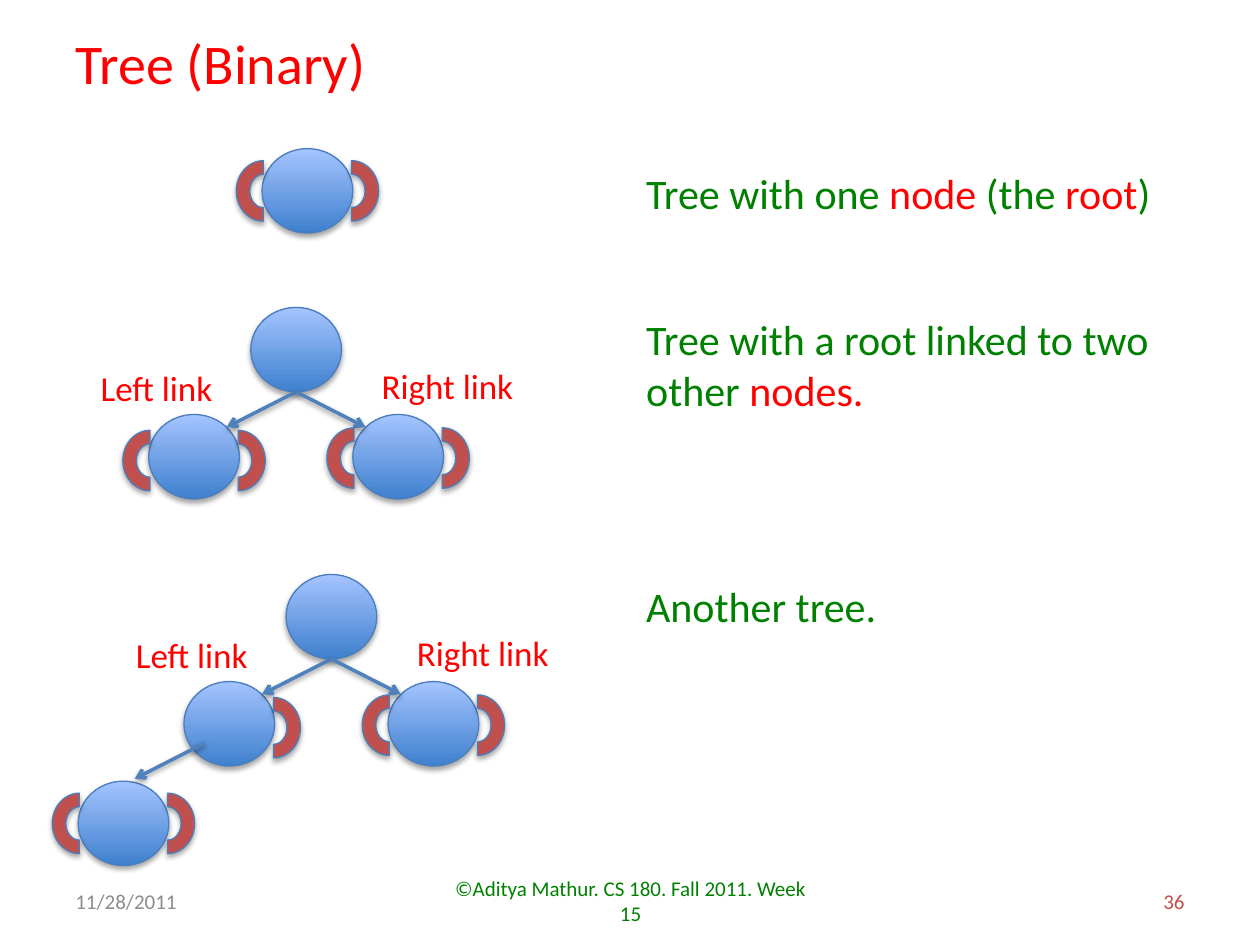
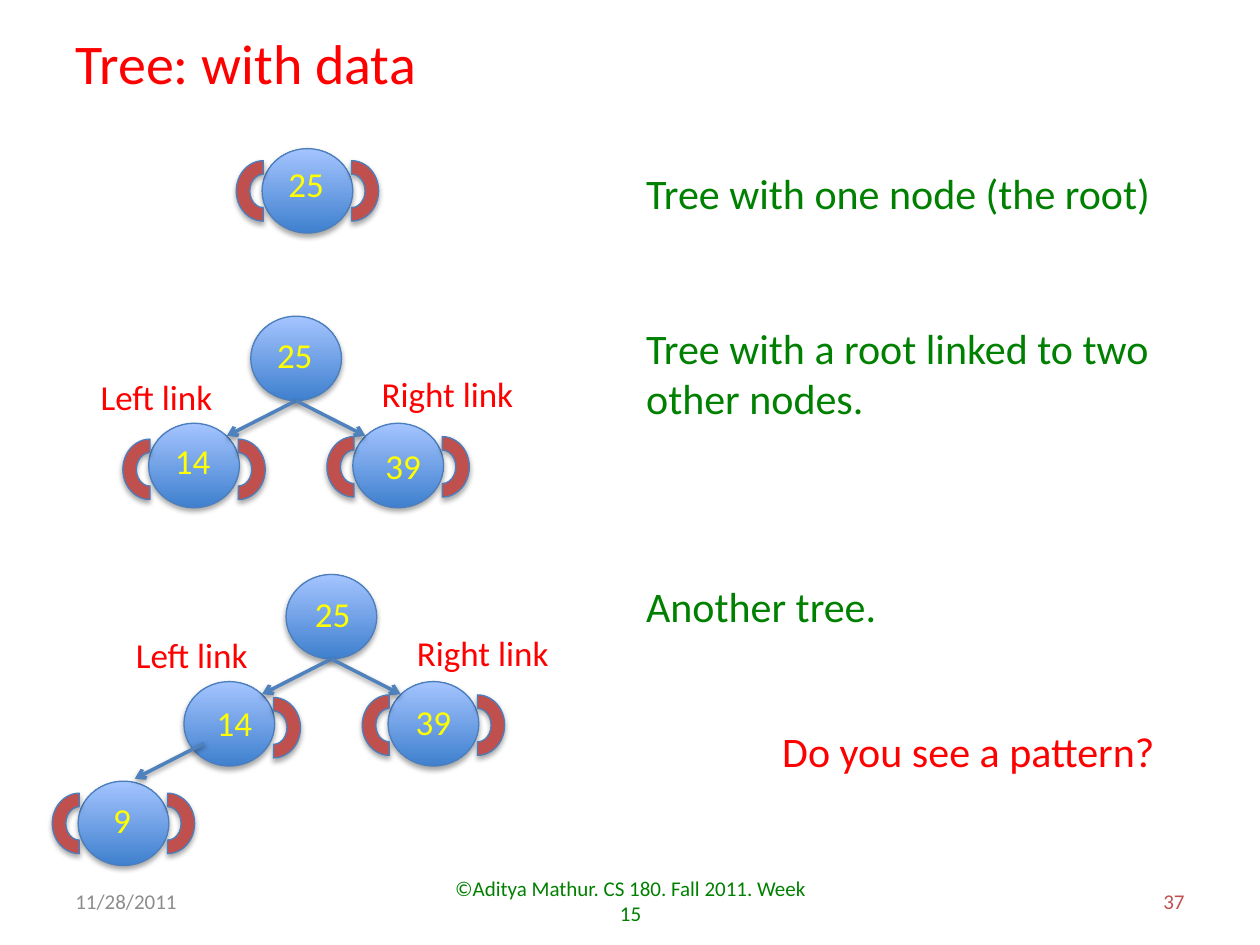
import dataclasses

import lxml.etree
import pptx
import pptx.dml.color
import pptx.enum.dml
import pptx.enum.shapes
import pptx.enum.text
import pptx.oxml.ns
import pptx.util

Inches = pptx.util.Inches
Pt = pptx.util.Pt
Align = pptx.enum.text.PP_ALIGN
Anchor = pptx.enum.text.MSO_ANCHOR
AutoSize = pptx.enum.text.MSO_AUTO_SIZE
ShapeKind = pptx.enum.shapes.MSO_SHAPE
qn = pptx.oxml.ns.qn
rgb = pptx.dml.color.RGBColor.from_string


@dataclasses.dataclass(frozen=True)
class Theme:
    """Colours, type sizes and repeated measures (inches) of the deck."""
    font: str = "Calibri"
    red: str = "FF0000"
    green: str = "008000"
    yellow: str = "FFFF00"
    gray: str = "8C8C8C"
    cap: str = "C0504D"
    outline: str = "4B7EBC"
    link: str = "4F81BD"
    node_bottom: str = "3F80CE"
    node_top: str = "A4C4FF"
    title_size: int = 32
    caption_size: int = 24
    label_size: int = 20
    footer_size: int = 12
    node_width: float = 0.72
    node_height: float = 0.67
    caption_left: float = 5.03
    caption_width: float = 4.27


THEME = Theme()


def apply_format(target, values):
    """Set each named attribute of the target."""
    for name, value in values.items():
        setattr(target, name, value)


def add_shadow(shape, opacity, distance):
    """Give a shape or connector a soft shadow straight below it."""
    properties = shape.element.spPr
    effects = properties.find(qn("a:effectLst"))
    if effects is None:
        effects = lxml.etree.SubElement(properties, qn("a:effectLst"))
    shadow = lxml.etree.SubElement(effects, qn("a:outerShdw"), {
        "blurRad": str(Pt(3.1)), "dist": str(Pt(distance)),
        "dir": "5400000", "rotWithShape": "0"})
    color = lxml.etree.SubElement(shadow, qn("a:srgbClr"), val="000000")
    lxml.etree.SubElement(color, qn("a:alpha"), val=str(opacity * 1000))


class TreeDeck:
    """Holds the theme, the current slide and the group being drawn."""

    def __init__(self, presentation, theme):
        self.presentation = presentation
        self.theme = theme
        self.slide = None
        self.canvas = None

    def start_slide(self, title, number):
        """Add a slide with its title and footer line."""
        layout = self.presentation.slide_layouts.get_by_name("Title Only")
        self.slide = self.presentation.slides.add_slide(layout)
        self.end_group()
        theme = self.theme
        heading = self.slide.shapes.title
        apply_format(heading, {"left": Inches(0.5), "top": Inches(0.18),
                               "width": Inches(3), "height": Inches(0.64)})
        self.fill_text(heading, [(title, theme.red)], theme.title_size,
                       wrap=False)
        footers = (
            (0.5, 2.33, "11/28/2011", theme.gray, Align.LEFT),
            (3.42, 3.17, "©Aditya Mathur. CS 180. Fall 2011. Week 15",
             theme.green, Align.CENTER),
            (7.17, 2.33, str(number), theme.cap, Align.RIGHT),
        )
        for left, width, text, color, alignment in footers:
            self.text(left, 6.95, width, 0.4, [(text, color)],
                      theme.footer_size, alignment=alignment,
                      anchor=Anchor.MIDDLE, auto_size=AutoSize.NONE)

    def start_group(self):
        """Draw what follows into a new group."""
        self.canvas = self.slide.shapes.add_group_shape().shapes

    def end_group(self):
        """Draw what follows straight on the slide."""
        self.canvas = self.slide.shapes

    def fill_text(self, shape, runs, size, wrap=True, alignment=Align.LEFT,
                  anchor=Anchor.TOP, auto_size=AutoSize.SHAPE_TO_FIT_TEXT):
        """Fill a shape with one paragraph of (text, colour) runs."""
        frame = shape.text_frame
        apply_format(frame, {"word_wrap": wrap, "vertical_anchor": anchor,
                             "auto_size": auto_size})
        paragraph = frame.paragraphs[0]
        paragraph.alignment = alignment
        for text, color in runs:
            run = paragraph.add_run()
            run.text = text
            apply_format(run.font, {"name": self.theme.font, "size": Pt(size)})
            run.font.color.rgb = rgb(color)

    def text(self, left, top, width, height, runs, size, **options):
        """Add a text box."""
        box = self.canvas.add_textbox(Inches(left), Inches(top),
                                      Inches(width), Inches(height))
        self.fill_text(box, runs, size, **options)

    def caption(self, top, runs, height=0.5, wrap=True):
        """Add the explanation to the right of a tree."""
        self.text(self.theme.caption_left, top, self.theme.caption_width,
                  height, runs, self.theme.caption_size, wrap=wrap)

    def label(self, left, top, width, text, color):
        """Add a short label on one line."""
        self.text(left, top, width, 0.44, [(text, color)],
                  self.theme.label_size, wrap=False)

    def outline(self, shape):
        """Give a filled shape its thin outline and shadow."""
        shape.line.color.rgb = rgb(self.theme.outline)
        shape.line.width = Pt(0.75)
        shape.shadow.inherit = False
        add_shadow(shape, 35, 1.8)

    def node(self, left, top):
        """Add a tree node."""
        theme = self.theme
        shape = self.canvas.add_shape(
            ShapeKind.OVAL, Inches(left), Inches(top),
            Inches(theme.node_width), Inches(theme.node_height))
        shape.fill.gradient()
        shape.fill.gradient_angle = 90
        colors = (theme.node_bottom, theme.node_top)
        for stop, color in zip(shape.fill.gradient_stops, colors):
            stop.color.rgb = rgb(color)
        self.outline(shape)

    def caps(self, left, top, drop=0.12, sides=("left", "right")):
        """Add the arcs that mark the empty links of the node at left, top."""
        places = {"left": (-0.23, 270), "right": (0.47, 90)}
        for side in sides:
            offset, rotation = places[side]
            shape = self.canvas.add_shape(
                ShapeKind.BLOCK_ARC, Inches(left + offset), Inches(top + drop),
                Inches(0.48), Inches(0.43))
            shape.rotation = rotation
            shape.fill.solid()
            shape.fill.fore_color.rgb = rgb(self.theme.cap)
            self.outline(shape)

    def link(self, left, top, direction):
        """Add an arrow down to the left (-1) or to the right (1)."""
        connector = self.canvas.add_connector(
            pptx.enum.shapes.MSO_CONNECTOR.STRAIGHT, Inches(left), Inches(top),
            Inches(left + direction * 0.55), Inches(top + 0.28))
        connector.line.color.rgb = rgb(self.theme.link)
        connector.line.width = Pt(2)
        line = connector.element.spPr.find(qn("a:ln"))
        lxml.etree.SubElement(line, qn("a:tailEnd"), type="arrow")
        add_shadow(connector, 38, 1.6)

    def keys(self, keys):
        """Add the data of the nodes, given as (text, left, top)."""
        for text, left, top in keys:
            width = 0.49 if len(text) == 2 else 0.34
            self.label(left, top, width, text, self.theme.yellow)

    def single_tree(self, left, top, runs, keys):
        """Draw a root alone."""
        self.start_group()
        self.node(left, top)
        self.caps(left, top)
        self.caption(top + 0.1, runs, wrap=False)
        self.keys(keys)
        self.end_group()

    def linked_tree(self, left, top, runs, keys, caption_height, deep=False):
        """Draw a root with two children, and a grandchild if deep."""
        self.start_group()
        child_top = top + 0.85
        left_child, right_child = left - 0.81, left + 0.81
        self.node(left, top)
        self.node(right_child, child_top)
        self.node(left_child, child_top)
        for direction in (-1, 1):
            self.link(left + self.theme.node_width / 2,
                      top + self.theme.node_height, direction)
        self.caps(left_child, child_top, 0.15,
                  ("right",) if deep else ("left", "right"))
        self.caps(right_child, child_top, 0.13)
        self.label(left - 1.29, top + 0.42, 1.1, "Left link", self.theme.red)
        self.label(left + 0.94, top + 0.4, 1.26, "Right link", self.theme.red)
        if deep:
            grandchild = (left_child - 0.84, child_top + 0.79)
            self.node(*grandchild)
            self.caps(*grandchild)
            self.link(left_child + 0.16, child_top + 0.49, -1)
        self.caption(top, runs, caption_height)
        self.keys(keys)
        self.end_group()

    def trees(self, pair_top, captions, keys):
        """Draw the three trees of a slide."""
        single, pair, deep = captions
        single_keys, pair_keys, deep_keys = keys
        self.single_tree(2.08, 1.18, single, single_keys)
        self.linked_tree(1.99, pair_top, pair, pair_keys, 0.91)
        self.linked_tree(2.27, 4.56, deep, deep_keys, 0.5, deep=True)


def build_binary_slide(deck):
    """Build the slide that introduces binary trees."""
    red, green = deck.theme.red, deck.theme.green
    deck.start_slide("Tree (Binary)", 36)
    captions = (
        [("Tree with one ", green), ("node ", red), ("(the ", green),
         ("root", red), (")", green)],
        [("Tree with a root linked to two other ", green), ("nodes.", red)],
        [("Another tree.", green)],
    )
    deck.trees(2.44, captions, ((), (), ()))


def build_data_slide(deck):
    """Build the slide whose nodes carry data."""
    theme = deck.theme
    deck.start_slide("Tree: with data", 37)
    captions = [[(text, theme.green)] for text in (
        "Tree with one node (the root)",
        "Tree with a root linked to two other nodes.",
        "Another tree.")]
    keys = (
        [("25", 2.19, 1.24)],
        [("25", 2.1, 2.6), ("14", 1.29, 3.44), ("39", 2.96, 3.48)],
        [("25", 2.4, 4.65), ("39", 3.2, 5.51), ("14", 1.62, 5.52),
         ("9", 0.8, 6.29)],
    )
    deck.trees(2.51, captions, keys)
    deck.text(6.11, 5.71, 3.19, 0.5, [("Do you see a pattern?", theme.red)],
              theme.caption_size, wrap=False)


def main():
    """Build and save the presentation."""
    presentation = pptx.Presentation()
    apply_format(presentation, {"slide_width": Inches(10),
                                "slide_height": Inches(7.5)})
    deck = TreeDeck(presentation, THEME)
    build_binary_slide(deck)
    build_data_slide(deck)
    presentation.save("out.pptx")


main()
